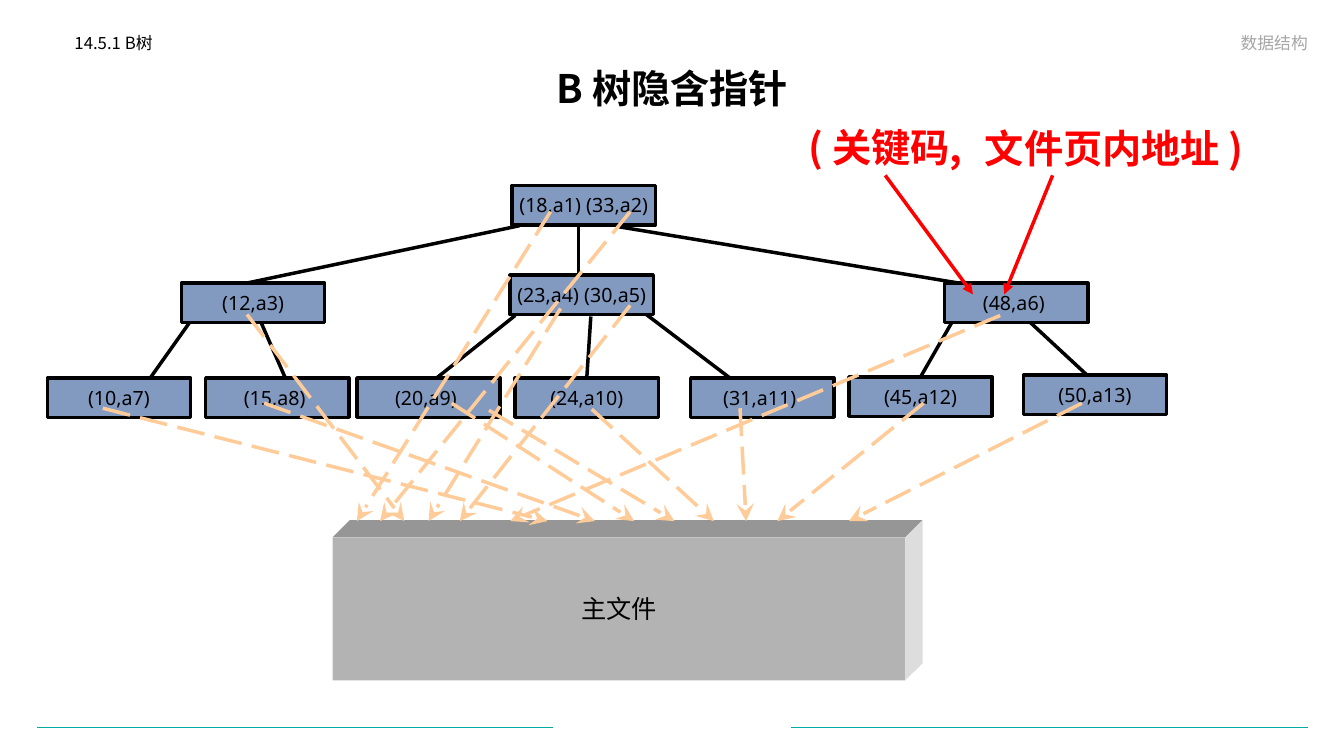
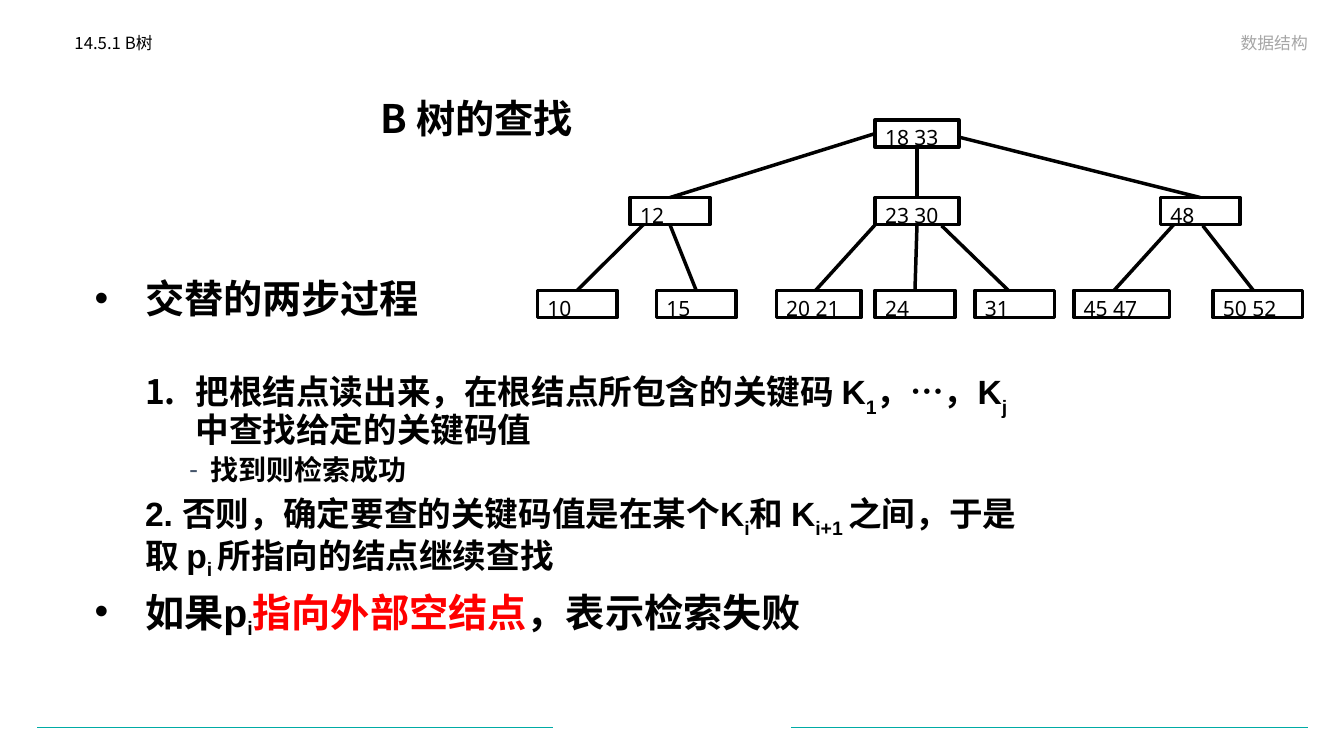
from lxml import etree
from pptx import Presentation
from pptx import util as u
from pptx.dml.color import RGBColor
from pptx.enum import dml, shapes, text
from pptx.oxml.ns import qn

CELL = u.Inches(0.1)  # the slide is a grid of 133.3 columns by 75 rows
CJK, LATIN, BODY = "Noto Sans CJK SC", "Noto Sans", "Arial"
BLACK, RED, TEAL, GREY, PEACH = "000000", "FF0000", "00ABA5", "A6A6A6", "FFCC99"
LEFT, CENTER, RIGHT = text.PP_ALIGN.LEFT, text.PP_ALIGN.CENTER, text.PP_ALIGN.RIGHT
TOP, MIDDLE, BOTTOM = text.MSO_ANCHOR.TOP, text.MSO_ANCHOR.MIDDLE, text.MSO_ANCHOR.BOTTOM
rgb = RGBColor.from_string


def write_text(paragraph, words, size, font=CJK, color=BLACK, bold=False, baseline=0):
    run = paragraph.add_run()
    run.text = words
    run.font.size, run.font.bold, run.font.name = u.Pt(size), bold, font
    run.font.color.rgb = rgb(color)
    properties = run._r.get_or_add_rPr()
    etree.SubElement(properties, qn("a:ea")).set("typeface", CJK)
    if baseline:
        properties.set("baseline", str(baseline * 1000))


def draw_line(slide, ends, color=BLACK, width=2.5, dash=None, arrow=None, head="med", nodes=()):
    line = slide.shapes.add_connector(
        shapes.MSO_CONNECTOR.STRAIGHT, *[round(value * CELL) for value in ends])
    line.line.color.rgb, line.line.width = rgb(color), u.Pt(width)
    if dash:
        line.line.dash_style = dash
    if arrow:
        tip = etree.SubElement(line.line._ln, qn("a:tailEnd"))
        for key, value in (("type", arrow), ("w", head), ("len", head)):
            tip.set(key, value)
    etree.SubElement(line._element.spPr, qn("a:effectLst"))
    # Join ends that meet the middle of a node's side
    for node in nodes:
        x, y, w, h = [value / CELL for value in (node.left, node.top, node.width, node.height)]
        middles = [(x + w / 2, y), (x, y + h / 2), (x + w / 2, y + h), (x + w, y + h / 2)]
        for site, (middle_x, middle_y) in enumerate(middles):
            for end, join in ((ends[:2], line.begin_connect), (ends[2:], line.end_connect)):
                if max(abs(end[0] - middle_x), abs(end[1] - middle_y)) < 0.2:
                    join(node, site)


presentation = Presentation()
presentation.slide_width, presentation.slide_height = u.Inches(13.33), u.Inches(7.5)
pointers, search = [presentation.slides.add_slide(presentation.slide_layouts[6]) for _ in range(2)]

# Footer rules on both slides
for slide in (pointers, search):
    for start, stop in ((3.7, 54.8), (78.5, 129.7)):
        draw_line(slide, (start, 72.2, stop, 72.2), TEAL, 0.75)

# Titles, running heads and red labels
title = dict(size=28, bold=True)
label = dict(size=28, bold=True, color=RED)
labels = [
    (pointers, "B 树隐含指针", (9.2, 6.2, 115, 5.7), CENTER, MIDDLE, 0.9, title),
    (search, "B 树的查找", (30, 9.1, 34.6, 5.7), CENTER, MIDDLE, 0.9, title),
    (pointers, "( 关键码,", (79.2, 11.7, 22, 5.7), LEFT, TOP, 1, label),
    (pointers, "文件页内地址 )", (96.7, 11.8, 31, 5.7), LEFT, TOP, 1, label),
]
for slide in (pointers, search):
    labels += [
        (slide, "14.5.1 B树", (6.4, 3, 53.2, 3.6), LEFT, TOP, 0.9, dict(size=12)),
        (slide, "数据结构", (74.3, 2.2, 56.4, 3.5), RIGHT, BOTTOM, 1, dict(size=12, color=GREY)),
    ]
for slide, words, place, align, anchor, spacing, style in labels:
    frame = slide.shapes.add_textbox(*[round(value * CELL) for value in place]).text_frame
    frame.word_wrap, frame.vertical_anchor = True, anchor
    paragraph = frame.paragraphs[0]
    paragraph.alignment, paragraph.line_spacing = align, spacing
    write_text(paragraph, words, **style)

# Both trees: nodes are (text, left, top, width), edges run from parent to child
pointer_nodes = [
    ("(18,a1) (33,a2)", 50.8, 18.4), ("(12,a3)", 18, 28.1), ("(23,a4) (30,a5)", 50.6, 27.3),
    ("(48,a6) ", 93.7, 28.1), ("(10,a7)", 4.7, 37.5), ("(15,a8) ", 20.4, 37.5),
    ("(20,a9) ", 35.4, 37.5), ("(24,a10)", 51.1, 37.5), ("(31,a11) ", 68.5, 37.5),
    ("(45,a12)", 84.2, 37.4), ("(50,a13)", 101.5, 37.2),
]
pointer_edges = [
    (51.5, 22.4, 24.4, 28.1), (57.4, 22.4, 57.4, 27.2), (61.4, 22.5, 95.2, 28.1),
    (18.8, 32, 14.9, 37.5), (25.9, 32, 28.3, 37.5), (51.1, 31.3, 43.3, 37.5),
    (58.6, 31.4, 58.2, 37.5), (64.1, 31.2, 72.4, 37.5), (94.4, 32, 91.4, 37.5),
    (102.2, 32, 107.8, 37.2),
]
search_nodes = [
    ("18 33", 86.8, 11.9, 8.3), ("12", 62.5, 19.6, 7.9), ("23 30", 86.8, 19.6, 8.3),
    ("48", 115.1, 19.6, 7.9), ("10", 53.3, 28.8, 7.9), ("15", 65.1, 28.8, 7.9),
    ("20 21", 77, 28.8, 8.4), ("24", 86.8, 28.8, 7.9), ("31", 96.7, 28.8, 7.9),
    ("45 47", 106.5, 28.8, 9.5), ("50 52", 120.3, 28.8, 8.9),
]
search_edges = [
    (86.8, 13.3, 66.5, 19.6), (90.8, 14.7, 90.8, 19.6), (95.1, 13.6, 119, 19.6),
    (63.8, 22.3, 57.2, 28.8), (66.5, 22.4, 69.1, 28.8), (86.8, 22.3, 80.9, 28.8),
    (90.8, 22.3, 90.8, 28.8), (93.4, 22.4, 100, 28.8), (116.4, 22.3, 110.5, 28.8),
    (119.3, 22.4, 124.3, 28.8),
]
trees = [
    (pointers, [node + (14.2,) for node in pointer_nodes], pointer_edges,
     shapes.MSO_SHAPE.FLOWCHART_PROCESS, 3.9, "2F5597", 60, 14, CENTER, MIDDLE, False),
    (search, search_nodes, search_edges,
     shapes.MSO_SHAPE.RECTANGLE, 2.7, "FFFFFF", 100, 15, LEFT, TOP, True),
]
for slide, nodes, edges, kind, height, fill, opacity, size, align, anchor, wrap in trees:
    boxes = []
    for words, left, top, width in nodes:
        box = slide.shapes.add_shape(
            kind, *[round(value * CELL) for value in (left, top, width, height)])
        box.shadow.inherit = False
        box.fill.solid()
        box.fill.fore_color.rgb = rgb(fill)
        if opacity < 100:
            color = box._element.spPr.find(".//" + qn("a:srgbClr"))
            etree.SubElement(color, qn("a:alpha")).set("val", str(opacity * 1000))
        box.line.color.rgb, box.line.width = rgb(BLACK), u.Pt(2.5)
        frame = box.text_frame
        frame.word_wrap, frame.vertical_anchor = wrap, anchor
        frame.paragraphs[0].alignment = align
        write_text(frame.paragraphs[0], words, size, LATIN)
        boxes.append(box)
    for edge in edges:
        draw_line(slide, edge, nodes=boxes)

# Red arrows from the labels to node 48
for arrow in ((87.8, 17.4, 96.5, 29.2), (104.4, 17.4, 99.6, 29.2)):
    draw_line(pointers, arrow, RED, arrow="triangle")

# Main file: a block with front, top and side faces
left, right, top, bottom, depth = 33, 89.8, 53.3, 67.5, 1.7
front = pointers.shapes.add_shape(
    shapes.MSO_SHAPE.RECTANGLE,
    *[round(value * CELL) for value in (left, top, right - left, bottom - top)])
front.text_frame.vertical_anchor = MIDDLE
front.text_frame.paragraphs[0].alignment = CENTER
write_text(front.text_frame.paragraphs[0], "主文件", 18)
faces = [(front, "B3B3B3")]
far_corner = (right + depth, top - depth)
for color, corners in (
        ("969696", [(left, top), (left + depth, top - depth), far_corner, (right, top)]),
        ("DDDDDD", [(right, top), far_corner, (right + depth, bottom - depth),
                    (right, bottom)])):
    points = [(round(x * CELL), round(y * CELL)) for x, y in corners]
    outline = pointers.shapes.build_freeform(*points[0])
    outline.add_line_segments(points[1:], close=True)
    faces.append((outline.convert_to_shape(), color))
for face, color in faces:
    face.shadow.inherit = False
    face.fill.solid()
    face.fill.fore_color.rgb = rgb(color)
    face.line.fill.background()

# Hidden pointers: (start column, start row, end column) down to the main file
for start, row, stop in (
        (54.6, 21, 35.4), (73.4, 40.5, 74), (24.5, 31.2, 40.1), (99.2, 31.3, 50.6),
        (10.2, 40.5, 54.3), (26.2, 40, 59), (44.8, 40, 62.9), (48.5, 40.7, 66.9),
        (58.7, 40.6, 70.8), (62.5, 21, 37.7), (91.6, 40, 77.1), (107.3, 40, 84.2),
        (55.6, 30.6, 42.5), (62.5, 30.3, 45.6)):
    draw_line(pointers, (start, row, stop, 51.7), PEACH,
              dash=dml.MSO_LINE.LONG_DASH, arrow="stealth", head="lg")

# Search steps: (margin, indent, space before, bullet, size, runs of (text, format))
sub, low = dict(baseline=-30), dict(baseline=-25)
steps = [
    (5, -5, 0, "•", 28, [("交替的两步过程", {})]),
    (10, -5, 35, "1.", 24, [
        ("把根结点读出来，在根结点所包含的关键码 K", {}), ("1", sub), ("，…，K", {}),
        ("j ", sub), ("中查找给定的关键码值", {})]),
    (11.5, -2.1, 5, "-", 20, [("找到则检索成功", {})]),
    (5, 0, 5, None, 24, [
        ("2. 否则，确定要查的关键码值是在某个K", {}), ("i", low), ("和 K", {}), ("i+1 ", low),
        ("之间，于是取 p", {}), ("i ", low), ("所指向的结点继续查找", {})]),
    (5, -5, 10, "•", 28, [
        ("如果p", {}), ("i", dict(size=24, baseline=-25)),
        ("指向外部空结点", dict(color=RED)), ("，表示检索失败", {})]),
]
frame = search.shapes.add_textbox(
    *[round(value * CELL) for value in (8.4, 27.2, 95.7, 46.5)]).text_frame
frame.word_wrap = True
for number, (margin, indent, before, bullet, size, runs) in enumerate(steps):
    paragraph = frame.add_paragraph() if number else frame.paragraphs[0]
    paragraph.line_spacing, paragraph.space_before = 0.9, u.Pt(before)
    properties = paragraph._p.get_or_add_pPr()
    properties.set("marL", str(round(margin * CELL)))
    properties.set("indent", str(round(indent * CELL)))
    if bullet == "1.":
        etree.SubElement(properties, qn("a:buAutoNum")).set("type", "arabicPeriod")
    elif bullet:
        if bullet == "-":
            color = etree.SubElement(properties, qn("a:buClr"))
            etree.SubElement(color, qn("a:srgbClr")).set("val", "44546A")
        font = "Calibri" if bullet == "-" else BODY
        etree.SubElement(properties, qn("a:buFont")).set("typeface", font)
        etree.SubElement(properties, qn("a:buChar")).set("char", bullet)
    for words, style in runs:
        write_text(paragraph, words, **{"size": size, "font": BODY, "bold": True, **style})

presentation.save("out.pptx")
